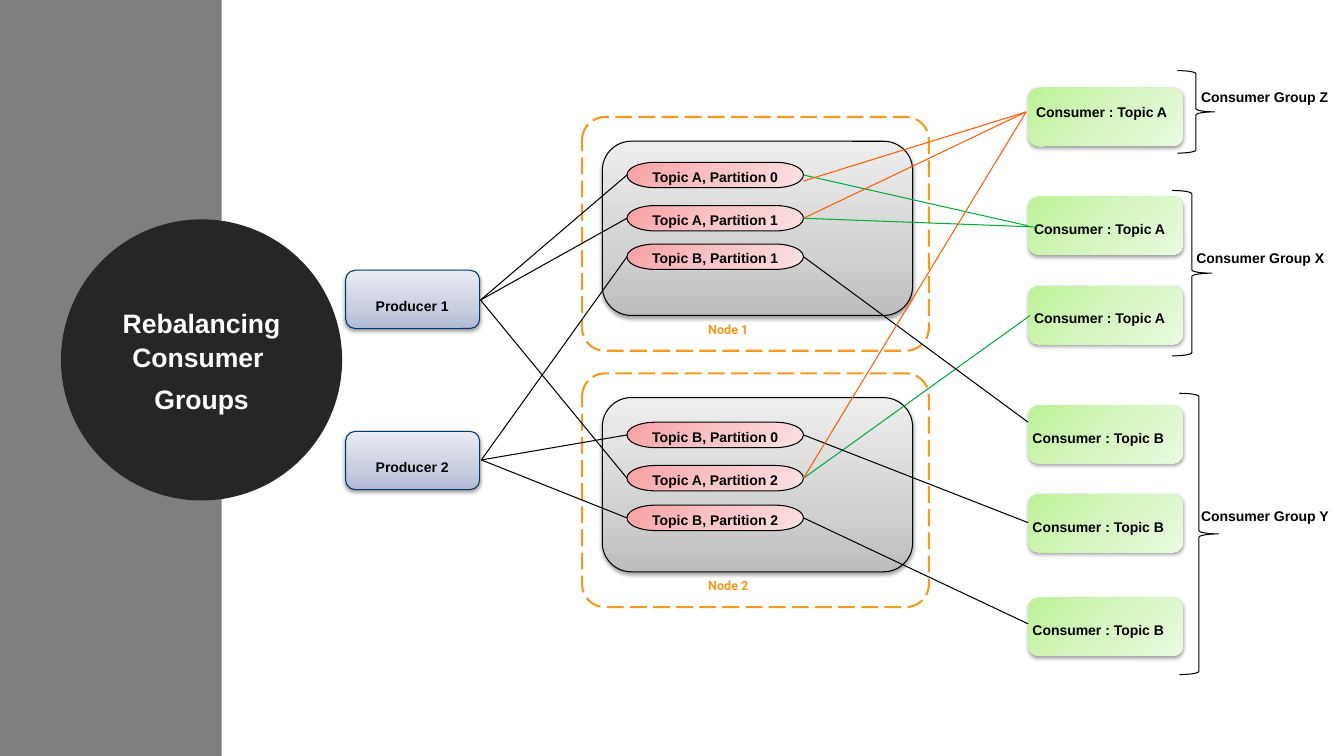
import copy
import dataclasses

import pptx
import pptx.dml.color
import pptx.enum.dml
import pptx.enum.shapes
import pptx.enum.text
import pptx.oxml
import pptx.oxml.ns
import pptx.util

Cm, Pt = pptx.util.Cm, pptx.util.Pt
RGB = pptx.dml.color.RGBColor.from_string
qn = pptx.oxml.ns.qn
KIND = pptx.enum.shapes.MSO_SHAPE
ALIGN = pptx.enum.text.PP_ALIGN
ANCHOR = pptx.enum.text.MSO_ANCHOR
FIT = pptx.enum.text.MSO_AUTO_SIZE


@dataclasses.dataclass(frozen=True)
class Theme:
    font: str = "Arial"
    node_font: str = "Roboto"
    title_size: float = 19
    label_size: float = 10
    node_size: float = 9
    hairline: float = 0.75
    black: str = "000000"
    white: str = "FFFFFF"
    side_bar: str = "7F7F7F"
    disc: str = "262626"
    navy: str = "00396D"
    node: str = "F7981F"
    orange: str = "FF5C00"
    green: str = "00AB39"
    # Gradients: angle, then (position, colour) stops
    blue_fade: tuple = (90, (0, "B1B9D4"), (0.35, "C9CEE0"), (1, "EAECF4"))
    grey_fade: tuple = (90, (0, "BDBDBD"), (0.35, "D1D1D1"), (1, "EEEEEE"))
    red_fade: tuple = (315, (0, "F8A0A4"), (0.5, "F9C4C7"), (1, "FCE2E3"))
    green_fade: tuple = (315, (0, "BEF297"), (0.5, "D5F6C0"), (1, "EAFAE0"))


theme = Theme()
SHADOW = (
    f'<a:outerShdw {pptx.oxml.ns.nsdecls("a")} blurRad="39370" dist="20320" '
    'dir="5400000" rotWithShape="0"><a:srgbClr val="000000">'
    '<a:alpha val="38000"/></a:srgbClr></a:outerShdw>'
)

deck = pptx.Presentation()
deck.slide_width, deck.slide_height = Cm(33.87), Cm(19.05)
slide = deck.slides.add_slide(deck.slide_layouts[5])
shapes = slide.shapes


def draw(kind, box, fill=None, fade=None, line=None, width=theme.hairline, shadow=False):
    part = shapes.add_shape(kind, *map(Cm, box))
    part.shadow.inherit = False
    if shadow:
        part.element.spPr.find(qn("a:effectLst")).append(pptx.oxml.parse_xml(SHADOW))
    paint = part.fill
    if fade:
        angle, *stops = fade
        paint.gradient()
        paint.gradient_angle = angle
        stop_list = part.element.spPr.find(".//" + qn("a:gsLst"))
        stop_list.insert(1, copy.deepcopy(stop_list[0]))
        for stop, (position, colour) in zip(paint.gradient_stops, stops):
            stop.position = position
            stop.color.rgb = RGB(colour)
    elif fill:
        paint.solid()
        paint.fore_color.rgb = RGB(fill)
    else:
        paint.background()
    if line:
        part.line.color.rgb = RGB(line)
        part.line.width = Pt(width)
    else:
        part.line.fill.background()
    return part


def write(text, box=None, holder=None, size=theme.label_size, colour=theme.black,
          font=theme.font, align=ALIGN.LEFT, wrap=False, spacing=1.0, before=0, after=0):
    frame = (holder or shapes.add_textbox(*map(Cm, box))).text_frame
    frame.word_wrap = wrap
    frame.auto_size = FIT.NONE if holder else FIT.SHAPE_TO_FIT_TEXT
    if holder:
        frame.vertical_anchor = ANCHOR.MIDDLE
        frame.margin_left = frame.margin_right = frame.margin_top = frame.margin_bottom = 0
    frame.text = text
    for paragraph in frame.paragraphs:
        paragraph.alignment = align
        paragraph.line_spacing = spacing
        paragraph.space_before, paragraph.space_after = Pt(before), Pt(after)
        for run in paragraph.runs:
            run.font.name, run.font.size, run.font.bold = font, Pt(size), True
            run.font.color.rgb = RGB(colour)


# Side bar and title disc
draw(KIND.RECTANGLE, (0, 0, 5.59, 19.05), fill=theme.side_bar)
draw(KIND.OVAL, (1.78, 5.77, 6.6, 6.6), fill=theme.disc, line=theme.disc, width=13.75)
title = shapes.title
title.left, title.top, title.width, title.height = map(Cm, (2.78, 6.77, 4.6, 4.6))
write("Rebalancing Consumer \nGroups", holder=title, size=theme.title_size,
      colour=theme.white, align=ALIGN.CENTER, wrap=True, spacing=1.05, after=6)
title.element.getparent().append(title.element)

# Producers
for number, top in enumerate((6.81, 10.87), start=1):
    draw(KIND.ROUNDED_RECTANGLE, (8.71, top, 3.38, 1.47), fade=theme.blue_fade,
         line=theme.navy, shadow=True)
    write(f"Producer {number}", (9.22, top + 0.56, 2.36, 0.69))

# Nodes
for number in (1, 2):
    drop = 6.46 * (number - 1)
    draw(KIND.ROUNDED_RECTANGLE, (15.18, 3.56 + drop, 7.82, 4.39), fade=theme.grey_fade,
         line=theme.black, shadow=True)
    border = draw(KIND.ROUNDED_RECTANGLE, (14.67, 2.95 + drop, 8.74, 5.89),
                  line=theme.node, width=1.5)
    border.adjustments[0] = 0.098
    border.line.dash_style = pptx.enum.dml.MSO_LINE.LONG_DASH
    write(f"Node {number}", (14.33, 7.98 + drop, 8.05, 0.64), size=theme.node_size,
          colour=theme.node, font=theme.node_font, align=ALIGN.CENTER, wrap=True)

# Partitions
PILL_LEFT, PILL_WIDTH, PILL_HEIGHT = 15.8, 4.45, 0.64
partitions = {"A0": 4.09, "A1": 5.18, "B1": 6.15, "B0": 10.64, "A2": 11.73, "B2": 12.73}
for (topic, number), top in partitions.items():
    pill = draw(KIND.FLOWCHART_TERMINATOR, (PILL_LEFT, top, PILL_WIDTH, PILL_HEIGHT),
                fade=theme.red_fade, line=theme.black)
    write(f"Topic {topic}, Partition {number}", holder=pill, align=ALIGN.CENTER,
          spacing=1.2, before=2)

# Consumer groups: topic, consumer tops, label left and drop, brace, name position
groups = {
    "Z": ("A", (2.21,), 25.86, 0.28, (29.67, 1.78, 0.94, 2.08), (30.02, 2.11)),
    "X": ("A", (4.95, 7.21), 25.81, 0.47, (29.54, 4.8, 0.99, 4.17), (29.9, 6.17)),
    "Y": ("B", (10.21, 12.45, 15.06), 25.77, 0.48, (29.72, 9.91, 0.99, 7.09), (30.02, 12.67)),
}
for group, (topic, tops, label_left, label_drop, brace, name_at) in groups.items():
    for top in tops:
        draw(KIND.ROUNDED_RECTANGLE, (25.92, top, 3.89, 1.47), fade=theme.green_fade,
             shadow=True)
        write(f"Consumer : Topic {topic}", (label_left, top + label_drop, 3.89, 0.69))
    draw(KIND.RIGHT_BRACE, brace, line=theme.black)
    write(f"Consumer Group {group}", (*name_at, 3.78, 0.69))

# Links from producers to partitions, and from partitions to consumers
producer_ports = {(12.11, 7.56): ("A0", "A1", "A2"), (12.13, 11.59): ("B0", "B1", "B2")}
group_z = (25.86, 2.82)
reads = [
    ("A0", (25.91, 5.69), theme.green, 0),
    ("A1", (26.14, 5.72), theme.green, 0),
    ("A2", (25.96, 7.95), theme.green, 0),
    ("B1", (25.91, 10.64), theme.black, 0),
    ("B0", (25.91, 13.17), theme.black, 0),
    ("B2", (25.91, 15.72), theme.black, 0),
    ("A0", group_z, theme.orange, 0.15),
    ("A1", group_z, theme.orange, 0),
    ("A2", group_z, theme.orange, 0),
]
middle = {key: top + PILL_HEIGHT / 2 for key, top in partitions.items()}
links = [(port, (PILL_LEFT, middle[key]), theme.black)
         for port, keys in producer_ports.items() for key in keys]
links += [((PILL_LEFT + PILL_WIDTH, middle[key] + shift), end, colour)
          for key, end, colour, shift in reads]
for start, end, colour in links:
    link = shapes.add_connector(pptx.enum.shapes.MSO_CONNECTOR.STRAIGHT,
                                *map(Cm, (*start, *end)))
    link.line.color.rgb = RGB(colour)
    link.line.width = Pt(theme.hairline)
    link.element.spPr.append(pptx.oxml.parse_xml(
        f'<a:effectLst {pptx.oxml.ns.nsdecls("a")}/>'))

deck.save("out.pptx")
